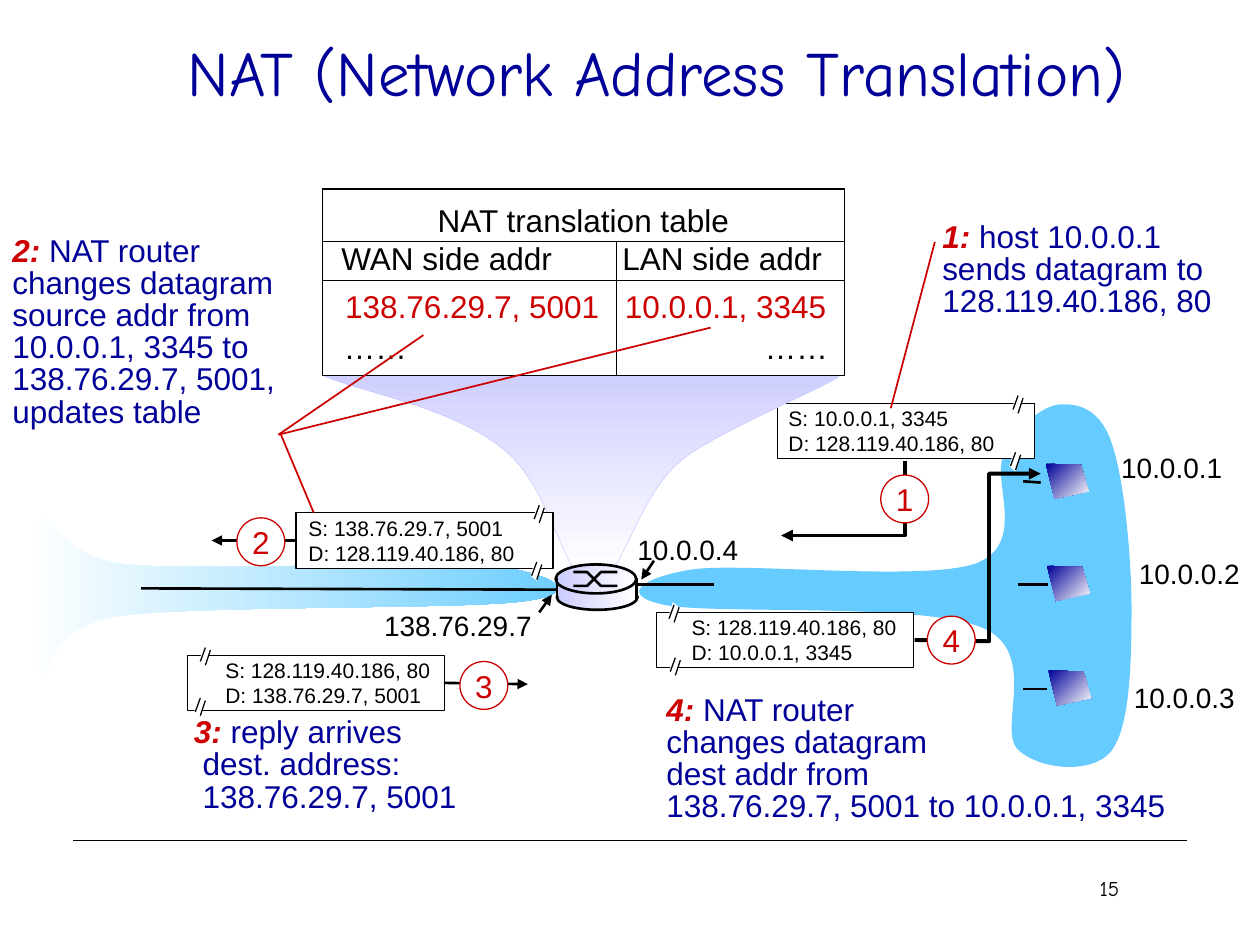
from lxml.etree import SubElement
from pptx import Presentation
from pptx.dml.color import RGBColor
from pptx.enum.shapes import MSO_CONNECTOR, MSO_SHAPE
from pptx.enum.text import MSO_ANCHOR, PP_ALIGN
from pptx.oxml.ns import qn
from pptx.util import Inches, Pt

BLACK, WHITE, RED, NAVY = "000000", "FFFFFF", "CC0000", "000099"
SKY, LILAC = "66CCFF", "CCCCFF"
ROUTER_FILL = (LILAC, WHITE, 0)
SANS, HAND = "Arial", "Comic Neue"

# Outlines: a start point, then cubic curves (three points) or straight lines (one point)
WAN = [[(3.92, 4.49)], [(3.39, 4.44), (1.62, 4.54), (1.02, 4.48)], [(0.42, 4.43), (0.43, 3.99), (0.31, 4.14)],
       [(0.2, 4.28), (0.21, 5.22), (0.31, 5.35)], [(0.42, 5.48), (0.29, 4.99), (0.93, 4.89)],
       [(1.58, 4.8), (3.68, 4.84), (4.17, 4.77)], [(4.67, 4.7), (4.36, 4.55), (3.92, 4.49)]]
LAN = [[(5.49, 4.52)], [(5.91, 4.46), (7.34, 4.62), (7.75, 4.47)], [(8.16, 4.31), (7.86, 3.81), (7.97, 3.6)],
       [(8.07, 3.39), (8.27, 3.22), (8.41, 3.21)], [(8.55, 3.2), (8.73, 3.24), (8.82, 3.51)],
       [(8.92, 3.78), (8.98, 4.42), (8.98, 4.83)], [(8.98, 5.24), (8.97, 5.77), (8.82, 5.96)],
       [(8.67, 6.15), (8.25, 6.11), (8.08, 5.95)], [(7.91, 5.79), (8.26, 5.17), (7.79, 4.98)],
       [(7.32, 4.78), (5.65, 4.88), (5.27, 4.8)], [(4.89, 4.72), (5.11, 4.58), (5.49, 4.52)]]
FUNNEL = [[(2.56, 2.98)], [(2.56, 2.98), (6.17, 2.87), (6.65, 2.98)], [(6.79, 2.97), (5.71, 3.41), (5.41, 3.65)],
          [(5.11, 3.9), (4.97, 4.41), (4.84, 4.55)], [(4.58, 4.55)],
          [(4.44, 4.38), (4.32, 3.82), (3.99, 3.56)], [(3.58, 3.23), (2.89, 3.12), (2.56, 2.98)]]
SLASH_GAP = [(0.04, 0), (0, 0.13), (0.05, 0.17), (0.09, 0.04)]
SLASHES = [((0.05, 0.02), (0.01, 0.13)), ((0.09, 0.04), (0.05, 0.16))]
HOST = [(0, 0), (0.28, 0.01), (0.34, 0.22), (0.07, 0.28)]
HOSTS = [(8.3, 3.68), (8.31, 4.49), (8.32, 5.32)]

# Links end at the arrowhead; a straight one starts at the given side of the packet
PACKETS = {
    1: dict(at=(6.17, 3.2), indent=-0.01, lines=("S: 10.0.0.1, 3345", "D: 128.119.40.186, 80"),
            slashes=[(8.03, 3.12), (8.01, 3.57)], link=[(7.18, 3.66), (7.18, 4.25), (6.2, 4.25)],
            badge=(6.99, 3.77)),
    2: dict(at=(2.35, 4.07), indent=0, lines=("S: 138.76.29.7, 5001", "D: 128.119.40.186, 80"),
            slashes=[(4.23, 3.99), (4.21, 4.44)], link=[(2.35, 4.29), (1.68, 4.29)], side=1,
            badge=(1.88, 4.11)),
    3: dict(at=(1.49, 5.2), indent=0.2, lines=("S: 128.119.40.186, 80", "D: 138.76.29.7, 5001"),
            slashes=[(1.58, 5.12), (1.54, 5.52)], link=[(3.54, 5.43), (4.19, 5.43)], side=3,
            badge=(3.65, 5.25)),
    4: dict(at=(5.21, 4.86), indent=0.18, lines=("S: 128.119.40.186, 80", "D: 10.0.0.1, 3345"),
            slashes=[(5.3, 4.78), (5.31, 5.2)], link=[(7.26, 5.08), (7.85, 5.09), (7.85, 3.76), (8.26, 3.76)],
            badge=(7.36, 4.89)),
}
# Box, lines of text, indent of the lines after the first
STEPS = {
    1: ((7.38, 1.72, 2.35, 0.87), ["host 10.0.0.1", "sends datagram to", "128.119.40.186, 80"], 0),
    2: ((0, 1.83, 2.4, 1.63), ["NAT router", "changes datagram", "source addr from", "10.0.0.1, 3345 to",
                               "138.76.29.7, 5001,", "updates table"], 0),
    3: ((1.44, 5.65, 2.4, 0.87), ["reply arrives", "dest. address:", "138.76.29.7, 5001"], 0.07),
    4: ((5.19, 5.47, 4.23, 1.42), ["NAT router", "changes datagram", "dest addr from",
                                   "138.76.29.7, 5001 to 10.0.0.1, 3345"], 0),
}
ADDRESSES = [("10.0.0.1", 8.8, 3.53, 1.01), ("10.0.0.2", 8.94, 4.37, 1.01), ("10.0.0.3", 8.9, 5.35, 1.01),
             ("10.0.0.4", 4.96, 4.18, 1.01), ("138.76.29.7", 2.95, 4.78, 1.38)]
TABLE_ROWS = [("NAT translation table", ""), ("WAN side addr", "LAN side addr"),
              ("138.76.29.7, 5001", "10.0.0.1, 3345"), ("……", "……")]
ROW_HEIGHTS, COL_WIDTHS = (0.42, 0.31, 0.4, 0.35), (2.33, 1.81)
ROW_ANCHORS = (MSO_ANCHOR.BOTTOM, MSO_ANCHOR.TOP, MSO_ANCHOR.MIDDLE, MSO_ANCHOR.TOP)
# Space (above, below) and left space (per column) of each row
ROW_PADDING = ((0, 0.02), (0, 0), (0.03, 0), (0, 0))
LEFT_PADDING = ((0, 0), (0.15, 0.05), (0.18, 0.07), (0.17, 0))


def rgb(color):
    return RGBColor.from_string(color)


def paint(shape, fill=None, line=None, width=0.75):
    """Fill is a colour, a (from, to, clockwise angle) gradient, or None."""
    shape.shadow.inherit = False
    if fill is None:
        shape.fill.background()
    elif isinstance(fill, tuple):
        shape.fill.gradient()
        shape.fill.gradient_angle = (360 - fill[2]) % 360
        for stop, color in zip(shape.fill.gradient_stops, fill):
            stop.color.rgb = rgb(color)
    else:
        shape.fill.solid()
        shape.fill.fore_color.rgb = rgb(fill)
    if line:
        shape.line.color.rgb = rgb(line)
        shape.line.width = Pt(width)
    else:
        shape.line.fill.background()
    return shape


def add_arrowhead(shape):
    SubElement(shape._element.spPr.find(qn("a:ln")), qn("a:tailEnd"), type="triangle")


def add_line(sp, start, end, color=BLACK, width=0.75, arrow=False):
    c = sp.add_connector(MSO_CONNECTOR.STRAIGHT, *map(Inches, (*start, *end)))
    c.line.color.rgb = rgb(color)
    c.line.width = Pt(width)
    if arrow:
        add_arrowhead(c)
    SubElement(c._element.spPr, qn("a:effectLst"))
    return c


def add_outline(sp, points, close=True, **look):
    pts = [(Inches(x), Inches(y)) for x, y in points]
    builder = sp.build_freeform(*pts[0], scale=1.0)
    builder.add_line_segments(pts[1:], close=close)
    return paint(builder.convert_to_shape(), **look)


def add_curved_outline(sp, segments, **look):
    """Draw all points as a freeform, then turn each run of three into a cubic curve."""
    shape = add_outline(sp, [pt for seg in segments for pt in seg], **look)
    lines = iter(list(shape._element.spPr.iter(qn("a:lnTo"))))
    for seg in segments[1:]:
        parts = [next(lines) for _ in seg]
        if len(parts) == 3:
            parts[0].tag = qn("a:cubicBezTo")
            for part in parts[1:]:
                parts[0].append(part[0])
                part.getparent().remove(part)


def shifted(points, origin):
    return [(x + origin[0], y + origin[1]) for x, y in points]


def add_preset(sp, kind, box, **look):
    return paint(sp.add_shape(kind, *map(Inches, box)), **look)


def add_run(p, text, size, color=BLACK, font=SANS, strong=False):
    r = p.add_run()
    r.text = text
    r.font.name, r.font.size = font, Pt(size)
    r.font.color.rgb = rgb(color)
    r.font.bold = r.font.italic = strong


def add_text(sp, box, lines, size, color=BLACK, font=SANS, align=PP_ALIGN.LEFT, wrap=False):
    tf = sp.add_textbox(*map(Inches, box)).text_frame
    tf.word_wrap = wrap
    for i, line in enumerate(lines):
        p = tf.add_paragraph() if i else tf.paragraphs[0]
        p.alignment = align
        add_run(p, line, size, color, font)


def add_packet(s, number):
    d = PACKETS[number]
    sp = s.shapes.add_group_shape().shapes
    x, y = d["at"]
    rect = add_preset(sp, MSO_SHAPE.RECTANGLE, (x, y, 2.04, 0.44), fill=WHITE, line=BLACK)
    add_text(sp, (x + d["indent"], y - 0.03, 1.93, 0.5), d["lines"], 12, wrap=True)
    for origin in d["slashes"]:
        add_outline(sp, shifted(SLASH_GAP, origin), fill=WHITE)
        for slash in SLASHES:
            add_line(sp, *shifted(slash, origin))
    if "side" in d:
        add_line(sp, *d["link"], width=1.5, arrow=True).begin_connect(rect, d["side"])
    else:
        add_arrowhead(add_outline(sp, d["link"], close=False, line=BLACK, width=2.25))
    badge = add_preset(sp, MSO_SHAPE.OVAL, (*d["badge"], 0.38, 0.38), fill=WHITE, line=RED)
    tf = badge.text_frame
    tf.margin_left = tf.margin_right = tf.margin_top = tf.margin_bottom = 0
    tf.word_wrap, tf.vertical_anchor = False, MSO_ANCHOR.MIDDLE
    tf.paragraphs[0].alignment = PP_ALIGN.CENTER
    add_run(tf.paragraphs[0], str(number), 18, RED)


def add_step(s, number):
    box, lines, indent = STEPS[number]
    tf = s.shapes.add_textbox(*map(Inches, box)).text_frame
    tf.word_wrap = False
    for i, line in enumerate(lines):
        p = tf.add_paragraph() if i else tf.paragraphs[0]
        p.line_spacing = 0.85
        if i == 0:
            add_run(p, f"{number}: ", 18, RED, strong=True)
        elif indent:
            p._p.get_or_add_pPr().set("marL", str(Inches(indent)))
        add_run(p, line, 18, NAVY)


def set_borders(cell, sides):
    for side in "LRTB":
        ln = SubElement(cell._tc.get_or_add_tcPr(), qn(f"a:ln{side}"), w=str(Pt(0.75)))
        if side in sides:
            SubElement(SubElement(ln, qn("a:solidFill")), qn("a:srgbClr"), val=BLACK)
        else:
            SubElement(ln, qn("a:noFill"))


def add_nat_table(s):
    box = map(Inches, (2.56, 1.5, sum(COL_WIDTHS), sum(ROW_HEIGHTS)))
    table = s.shapes.add_table(len(TABLE_ROWS), 2, *box).table
    table.first_row = table.horz_banding = False
    for col, w in zip(table.columns, COL_WIDTHS):
        col.width = Inches(w)
    table.cell(0, 0).merge(table.cell(0, 1))
    for i, (row, h) in enumerate(zip(TABLE_ROWS, ROW_HEIGHTS)):
        table.rows[i].height = Inches(h)
        for j, text in enumerate(row):
            cell = table.cell(i, j)
            set_borders(cell, ("TLRB", "TLRB", "TLR", "LRB")[i])
            cell.fill.solid()
            cell.fill.fore_color.rgb = rgb(WHITE)
            cell.margin_top, cell.margin_bottom = map(Inches, ROW_PADDING[i])
            cell.margin_left = Inches(LEFT_PADDING[i][j])
            cell.margin_right = Inches((0, 0.13)[j])
            cell.vertical_anchor = ROW_ANCHORS[i]
            p = cell.text_frame.paragraphs[0]
            p.alignment = PP_ALIGN.CENTER if i == 0 else PP_ALIGN.RIGHT if (i, j) == (3, 1) else PP_ALIGN.LEFT
            if text:
                add_run(p, text, 18, RED if i == 2 else BLACK)


def add_router(s):
    sp = s.shapes.add_group_shape().shapes
    add_preset(sp, MSO_SHAPE.OVAL, (4.42, 4.64, 0.64, 0.2), fill=ROUTER_FILL, line=BLACK, width=1.5)
    add_preset(sp, MSO_SHAPE.RECTANGLE, (4.42, 4.61, 0.64, 0.12), fill=ROUTER_FILL)
    add_preset(sp, MSO_SHAPE.OVAL, (4.41, 4.48, 0.64, 0.23), fill=ROUTER_FILL, line=BLACK, width=1.5)
    for y1, y2 in ((4.65, 4.54), (4.54, 4.65)):
        path = [(4.55, y1), (4.66, y1), (4.77, y2), (4.9, y2)]
        add_outline(sp, path, close=False, line=BLACK, width=1.5)
    for x in (4.42, 5.05):
        add_line(sp, (x, 4.59), (x, 4.75), width=1.5)


prs = Presentation()
prs.slide_width, prs.slide_height = Inches(10), Inches(7.5)
s = prs.slides.add_slide(prs.slide_layouts[6])
sp = s.shapes

add_line(sp, (0.58, 6.67), (9.42, 6.67))
add_curved_outline(sp, WAN, fill=(WHITE, SKY, 0))
add_curved_outline(sp, LAN, fill=SKY)
for ends in [((5.01, 4.64), (5.67, 4.64)), ((8.12, 3.82), (8.26, 3.83)), ((8.12, 5.47), (8.31, 5.47))]:
    add_line(sp, *ends, width=1.5)
add_packet(s, 1)
for text, x, y, w in ADDRESSES:
    add_text(sp, (x, y, w, 0.37), [text], 16)
for ends in [((5.19, 4.45), (5.09, 4.6)), ((4.28, 4.86), (4.38, 4.72))]:
    add_line(sp, *ends, width=1.5, arrow=True)
add_step(s, 1)
add_line(sp, (7.42, 1.92), (7.07, 3.24), RED, 1)
add_curved_outline(sp, FUNNEL, fill=(LILAC, WHITE, 90), line=LILAC, width=0.25)
add_nat_table(s)
add_packet(s, 4)
add_packet(s, 2)
add_step(s, 2)
for start, end in [((2.23, 3.45), (2.49, 4.07)), ((2.21, 3.45), (3.36, 2.66)), ((2.21, 3.45), (5.64, 2.6))]:
    add_line(sp, start, end, RED, 1)
add_packet(s, 3)
add_step(s, 3)
add_step(s, 4)
add_line(sp, (1.12, 4.67), (4.43, 4.68), width=1.5)
add_router(s)
for origin in HOSTS:
    add_outline(sp, shifted(HOST, origin), fill=(NAVY, WHITE, 45))
add_line(sp, (8.08, 4.64), (8.32, 4.64), width=1.5)
add_text(sp, (0.75, 0.22, 8.92, 1.25), ["NAT (Network Address Translation)"], 36, NAVY, HAND, PP_ALIGN.CENTER, True)
add_text(sp, (7.18, 6.9, 3.25, 0.5), ["15"], 12, BLACK, HAND, PP_ALIGN.CENTER, True)
prs.save("out.pptx")
